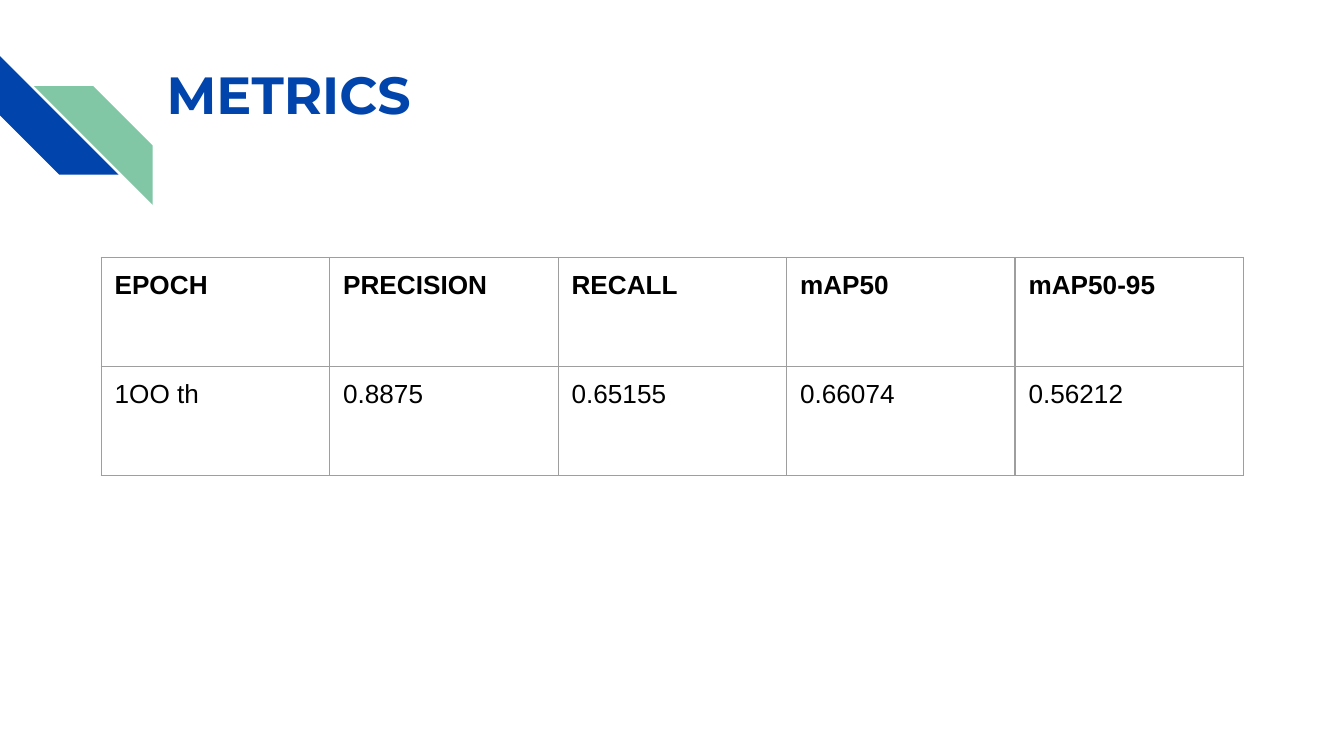
from lxml import etree
from pptx import Presentation
from pptx.dml.color import RGBColor
from pptx.enum import shapes, text
from pptx.oxml import ns
from pptx.util import Pt

COLORS = {"blue": "0145AC", "green": "82C7A5", "black": "000000", "border": "9E9E9E"}
INSET = Pt(7.2)
METRICS = [
    ["EPOCH", "PRECISION", "RECALL", "mAP50", "mAP50-95"],
    ["1OO th", "0.8875", "0.65155", "0.66074", "0.56212"],
]


def rgb(name):
    """Return the named colour."""
    return RGBColor.from_string(COLORS[name])


def write(tf, words, size=14, font="Arial", color="black", bold=False):
    """Fill a text frame with one formatted run."""
    r = tf.paragraphs[0].add_run()
    r.text = words
    r.font.size = Pt(size)
    r.font.name = font
    r.font.bold = bold
    r.font.color.rgb = rgb(color)


def add_stripe(s, x, y, size, color, rotation):
    """Draw one diagonal stripe in a square box."""
    sp = s.shapes.add_shape(shapes.MSO_SHAPE.DIAGONAL_STRIPE, x, y, size, size)
    sp.adjustments[0] = 0.5
    sp.rotation = rotation
    sp.shadow.inherit = False
    sp.fill.solid()
    sp.fill.fore_color.rgb = rgb(color)
    sp.line.fill.background()


def add_corner(s, x, y, size):
    """Draw the pair of interlocking stripes."""
    add_stripe(s, x, y, size, "blue", 270)
    add_stripe(s, x + Pt(18.2), y + Pt(16.2), size, "green", 90)


def add_title(s, x, y, w, h, words):
    """Place the slide title."""
    tf = s.shapes.add_textbox(x, y, w, h).text_frame
    tf.word_wrap = True
    tf.vertical_anchor = text.MSO_ANCHOR.TOP
    tf.margin_left = tf.margin_right = tf.margin_top = tf.margin_bottom = INSET
    write(tf, words, size=28, font="Montserrat", color="blue", bold=True)


def add_borders(cell):
    """Give a cell a thin line on all four sides."""
    props = cell._tc.get_or_add_tcPr()
    for i, side in enumerate(("lnL", "lnR", "lnT", "lnB")):
        line = etree.Element(ns.qn(f"a:{side}"), w=str(Pt(0.75)))
        fill = etree.SubElement(line, ns.qn("a:solidFill"))
        etree.SubElement(fill, ns.qn("a:srgbClr"), val=COLORS["border"])
        props.insert(i, line)


def add_metrics(s, x, y, w, h, rows):
    """Place the metrics table with a bold first row."""
    table = s.shapes.add_table(len(rows), len(rows[0]), x, y, w, h).table
    table.horz_banding = False
    for i, row in enumerate(rows):
        for j, value in enumerate(row):
            cell = table.cell(i, j)
            cell.margin_left = cell.margin_right = INSET
            cell.margin_top = cell.margin_bottom = INSET
            cell.fill.background()
            add_borders(cell)
            write(cell.text_frame, value, bold=i == 0)


def main():
    """Build and save the slide."""
    prs = Presentation()
    prs.slide_width, prs.slide_height = Pt(720), Pt(405)
    s = prs.slides.add_slide(prs.slide_layouts[6])
    add_corner(s, Pt(0), Pt(30), Pt(63.6))
    add_title(s, Pt(82.2), Pt(26), Pt(150.5), Pt(62), "METRICS")
    add_metrics(s, Pt(54.2), Pt(138), Pt(612), Pt(116.8), METRICS)
    prs.save("out.pptx")


if __name__ == "__main__":
    main()
